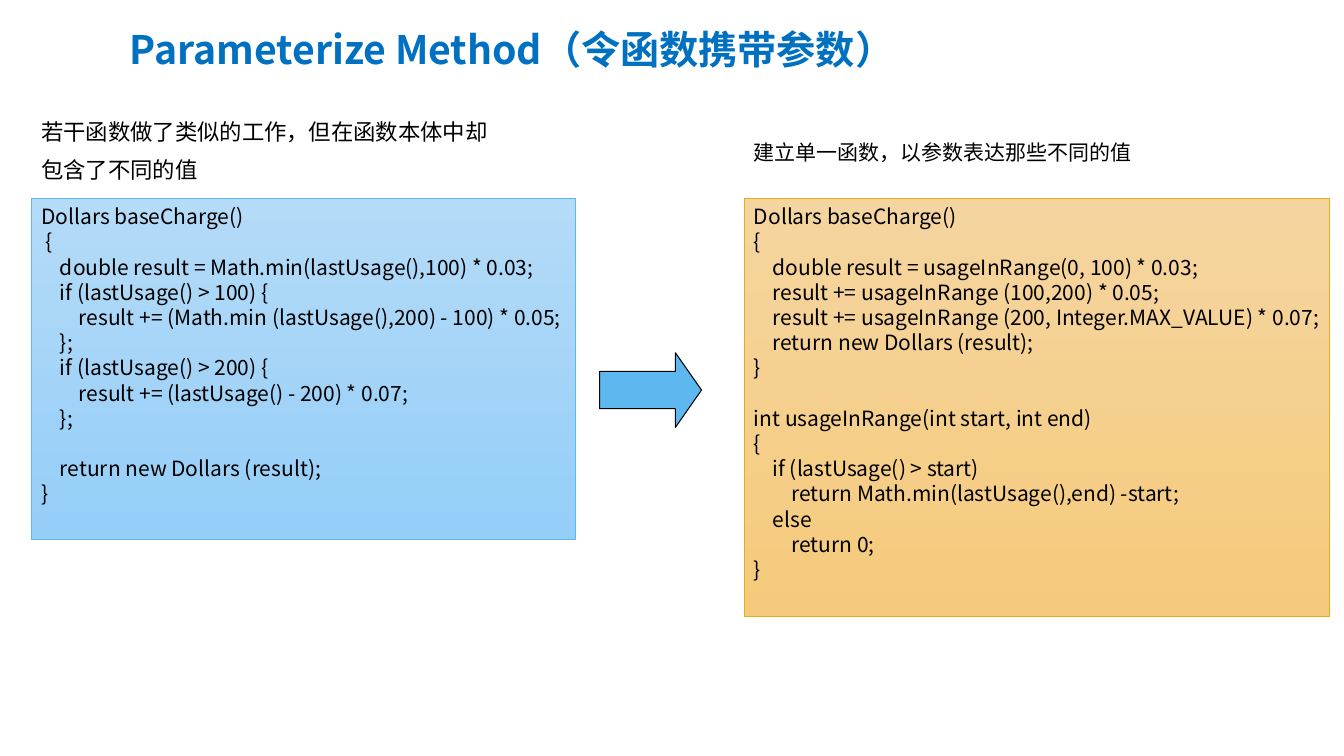
from pptx import Presentation
from pptx.dml.color import RGBColor
from pptx.enum.shapes import MSO_SHAPE
from pptx.enum.text import MSO_ANCHOR, PP_ALIGN
from pptx.util import Cm, Pt

RECT, ARROW = MSO_SHAPE.RECTANGLE, MSO_SHAPE.RIGHT_ARROW
TOP, MIDDLE = MSO_ANCHOR.TOP, MSO_ANCHOR.MIDDLE
LEFT = PP_ALIGN.LEFT

LATIN, CJK = "Arial", "Noto Sans CJK SC"
COLORS = {
    "title": "0070C0",
    "text": "000000",
    "blue": "5DB8EF",
    "blue_top": "B4DBF8",
    "blue_bottom": "95CEF8",
    "gold": "E1AF15",
    "gold_top": "F5D59F",
    "gold_bottom": "F5CA7C",
}
CODE_LINE = Pt(18)
LEFT_X, RIGHT_X, CODE_Y = 0.79, 18.75, 5.01

BEFORE = """Dollars baseCharge()
 {
    double result = Math.min(lastUsage(),100) * 0.03;
    if (lastUsage() > 100) {
        result += (Math.min (lastUsage(),200) - 100) * 0.05;
    };
    if (lastUsage() > 200) {
        result += (lastUsage() - 200) * 0.07;
    };

    return new Dollars (result);
}"""

AFTER = """Dollars baseCharge()
{
    double result = usageInRange(0, 100) * 0.03;
    result += usageInRange (100,200) * 0.05;
    result += usageInRange (200, Integer.MAX_VALUE) * 0.07;
    return new Dollars (result);
}

int usageInRange(int start, int end)
{
    if (lastUsage() > start)
        return Math.min(lastUsage(),end) -start;
    else
        return 0;
}"""


def rgb(name):
    return RGBColor.from_string(COLORS[name])


def style(p, font, size, color="text", bold=False):
    p.alignment = LEFT
    p.font.name = font
    p.font.size = Pt(size)
    p.font.bold = bold
    p.font.color.rgb = rgb(color)


def paragraphs(tf, lines):
    """Yield one paragraph per line, reusing the frame's first one."""
    for i, line in enumerate(lines):
        p = tf.add_paragraph() if i else tf.paragraphs[0]
        p.text = line
        yield p


def set_title(slide, text):
    sp = slide.shapes.title
    sp.left, sp.top, sp.width, sp.height = Cm(3.02), Cm(0.51), Cm(25.73), Cm(1.45)
    tf = sp.text_frame
    tf.vertical_anchor = MIDDLE
    tf.text = text
    style(tf.paragraphs[0], CJK, 28, "title", True)


def add_label(slide, x, y, height, size, lines):
    sp = slide.shapes.add_textbox(Cm(x), Cm(y), Cm(12.24), Cm(height))
    tf = sp.text_frame
    tf.word_wrap = True
    for i, p in enumerate(paragraphs(tf, lines)):
        style(p, LATIN, size)
        if i:
            p.space_before = Pt(size / 2)


def add_outlined(slide, kind, x, y, width, height, line, weight):
    sp = slide.shapes.add_shape(kind, Cm(x), Cm(y), Cm(width), Cm(height))
    sp.shadow.inherit = False
    sp.line.color.rgb = rgb(line)
    sp.line.width = Pt(weight)
    return sp


def add_code(slide, x, width, height, color, code):
    sp = add_outlined(slide, RECT, x, CODE_Y, width, height, color, 0.5)
    sp.fill.gradient()
    sp.fill.gradient_angle = 270
    for stop, end, position in zip(sp.fill.gradient_stops, ("top", "bottom"), (0, 1)):
        stop.color.rgb = rgb(f"{color}_{end}")
        stop.position = position
    tf = sp.text_frame
    tf.word_wrap = True
    tf.vertical_anchor = TOP
    lines = code.split("\n")
    after_gap = [b for a, b in zip(lines, lines[1:]) if not a]
    for p in paragraphs(tf, filter(None, lines)):
        style(p, CJK, 15)
        p.line_spacing = CODE_LINE
        if p.text in after_gap:
            p.space_before = CODE_LINE


def add_arrow(slide):
    sp = add_outlined(slide, ARROW, 15.11, 8.89, 2.57, 1.88, "text", 0.75)
    sp.fill.solid()
    sp.fill.fore_color.rgb = rgb("blue")
    sp.adjustments[1] = 0.35


def main():
    prs = Presentation()
    prs.slide_width, prs.slide_height = Cm(33.87), Cm(19.05)
    slide = prs.slides.add_slide(prs.slide_layouts[5])
    set_title(slide, "Parameterize Method（令函数携带参数）")
    add_label(slide, LEFT_X, 2.84, 1.96, 16,
              ["若干函数做了类似的工作，但在函数本体中却", "包含了不同的值"])
    add_label(slide, RIGHT_X, 3.38, 0.89, 15, ["建立单一函数，以参数表达那些不同的值"])
    add_code(slide, LEFT_X, 13.72, 8.59, "blue", BEFORE)
    add_code(slide, RIGHT_X, 14.76, 10.52, "gold", AFTER)
    add_arrow(slide)
    prs.save("out.pptx")


if __name__ == "__main__":
    main()
